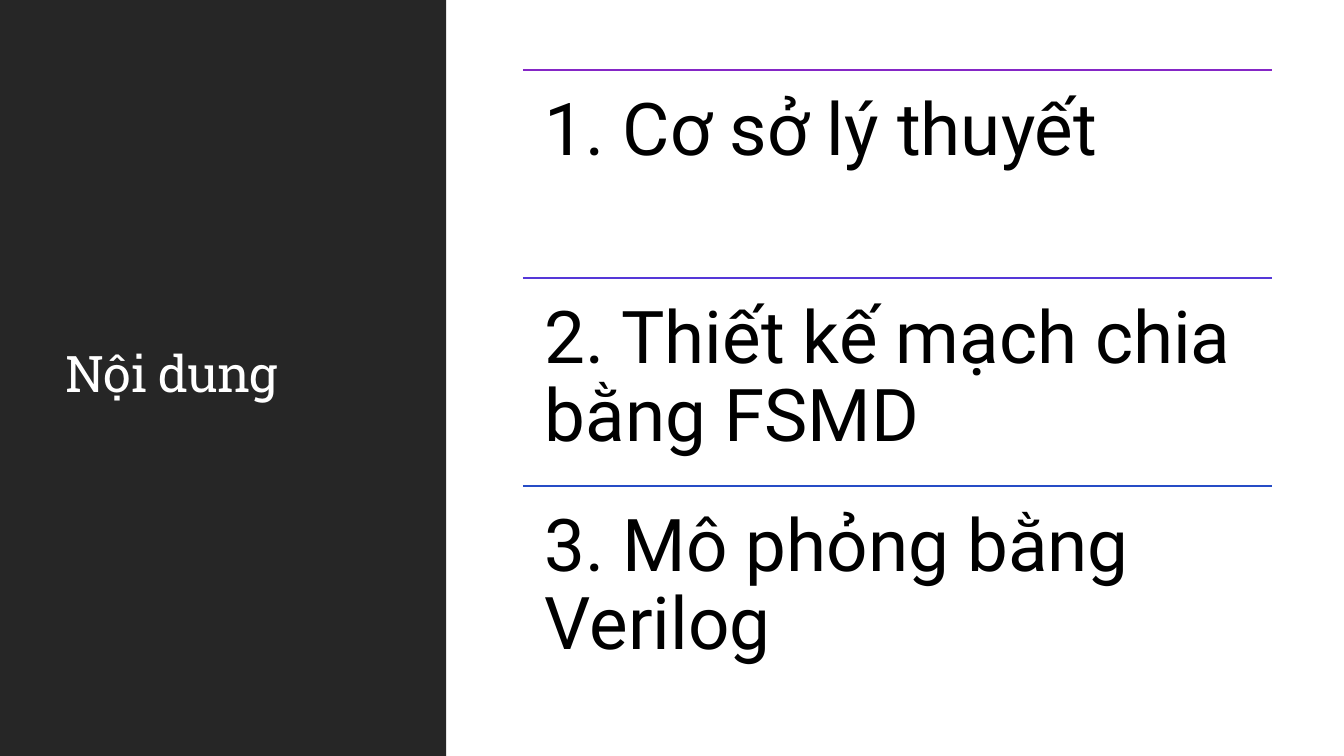
from collections import namedtuple
from dataclasses import dataclass

from lxml.etree import SubElement
from pptx import Presentation
from pptx.dml.color import RGBColor
from pptx.enum.shapes import MSO_CONNECTOR, MSO_SHAPE
from pptx.enum.text import MSO_ANCHOR
from pptx.oxml.ns import qn
from pptx.util import Emu, Pt

EMU_PER_PX = 9525
Box = namedtuple("Box", "left top width height")


@dataclass(frozen=True)
class Theme:
    """Colours, fonts and type sizes of the deck."""

    panel: str = "262626"
    heading: str = "FFFFFF"
    topic: str = "000000"
    rules: tuple = ("8526C6", "5538D8", "264CC6")
    heading_font: str = "Roboto Slab"
    topic_font: str = "Roboto"
    heading_size: int = 36
    topic_size: int = 52
    rule_width: float = 1.25
    line_spacing: float = 0.9


THEME = Theme()
SLIDE = Box(0, 0, 1280, 720)
HEADING_PANEL = Box(0, 0, 425, 720)
AGENDA = Box(498, 67, 713, 594)
TOPICS = (
    "1. Cơ sở lý thuyết",
    "2. Thiết kế mạch chia bằng FSMD",
    "3. Mô phỏng bằng Verilog",
)


def px(length):
    """Turn whole pixels into EMU."""
    return Emu(length * EMU_PER_PX)


def add_text(slide, box, wording, font, size, colour, inset=(10, 5), anchor=MSO_ANCHOR.TOP):
    """Place one wrapped paragraph in the box and return its run."""
    frame = slide.shapes.add_textbox(*map(px, box)).text_frame
    frame.word_wrap = True
    frame.vertical_anchor = anchor
    frame.margin_left = frame.margin_right = px(inset[0])
    frame.margin_top = frame.margin_bottom = px(inset[1])
    frame.text = wording
    paragraph = frame.paragraphs[0]
    paragraph.line_spacing = THEME.line_spacing
    run = paragraph.runs[0]
    run.font.name = font
    run.font.size = Pt(size)
    run.font.color.rgb = RGBColor.from_string(colour)
    return run


def add_rule(slide, box, colour):
    """Draw a coloured line along the top of the box."""
    right = box.left + box.width
    rule = slide.shapes.add_connector(
        MSO_CONNECTOR.STRAIGHT, px(box.left), px(box.top), px(right), px(box.top)
    )
    rule.line.color.rgb = RGBColor.from_string(colour)
    rule.line.width = Pt(THEME.rule_width)
    SubElement(rule._element.spPr, qn("a:effectLst"))


def add_heading_panel(slide, box, heading):
    """Fill the dark side panel and centre its heading vertically."""
    panel = slide.shapes.add_shape(MSO_SHAPE.RECTANGLE, *map(px, box))
    panel.shadow.inherit = False
    panel.fill.solid()
    panel.fill.fore_color.rgb = RGBColor.from_string(THEME.panel)
    panel.line.fill.background()
    heading_box = Box(box.left + 52, box.top + 55, box.width - 102, box.height - 114)
    run = add_text(
        slide, heading_box, heading, THEME.heading_font,
        THEME.heading_size, THEME.heading, anchor=MSO_ANCHOR.MIDDLE,
    )
    run.font._element.set("spc", "-50")


def add_agenda(slide, box, topics):
    """Stack the topics in equal rows, each under its own rule."""
    row_height = box.height // len(topics)
    for index, (topic, colour) in enumerate(zip(topics, THEME.rules)):
        row = Box(box.left, box.top + index * row_height, box.width, row_height)
        add_rule(slide, row, colour)
        add_text(
            slide, row, topic, THEME.topic_font,
            THEME.topic_size, THEME.topic, inset=(21, 21),
        )


def main():
    """Build and save the agenda slide."""
    deck = Presentation()
    deck.slide_width, deck.slide_height = px(SLIDE.width), px(SLIDE.height)
    slide = deck.slides.add_slide(deck.slide_layouts[6])
    add_heading_panel(slide, HEADING_PANEL, "Nội dung")
    add_agenda(slide, AGENDA, TOPICS)
    deck.save("out.pptx")


if __name__ == "__main__":
    main()
